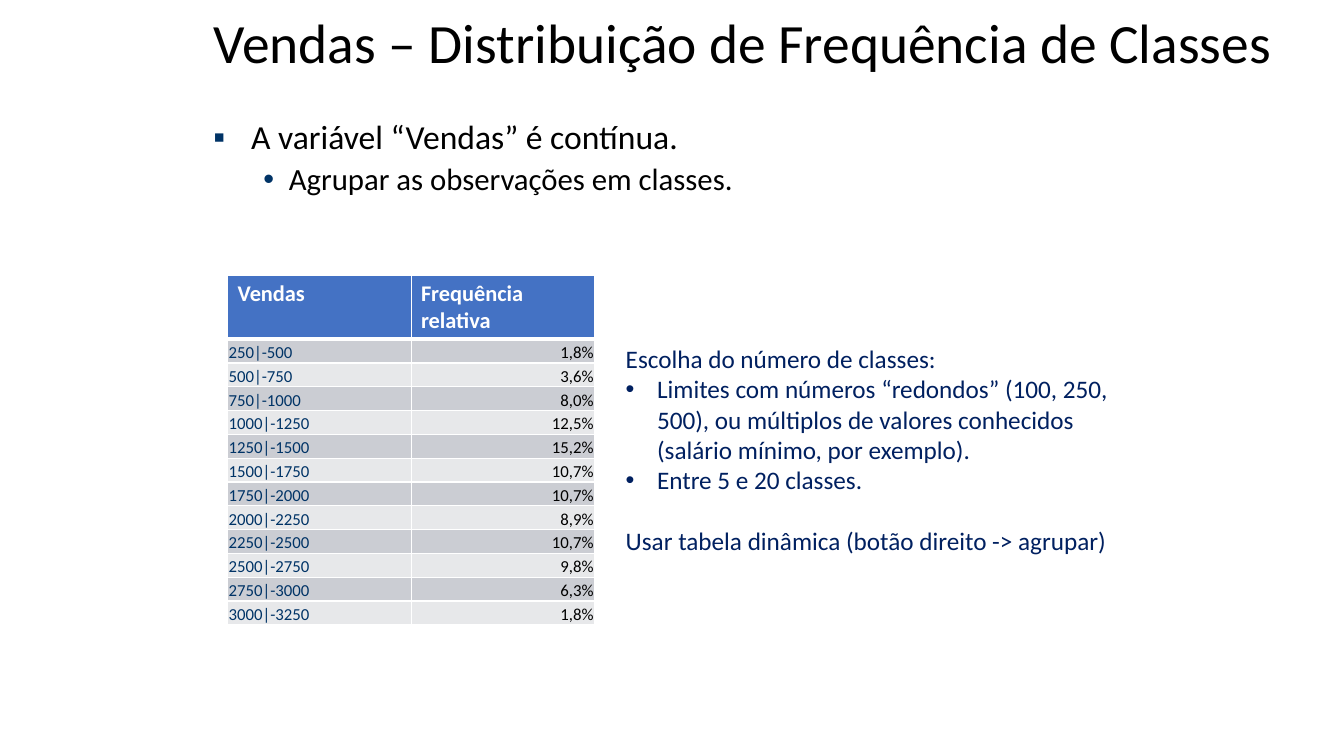
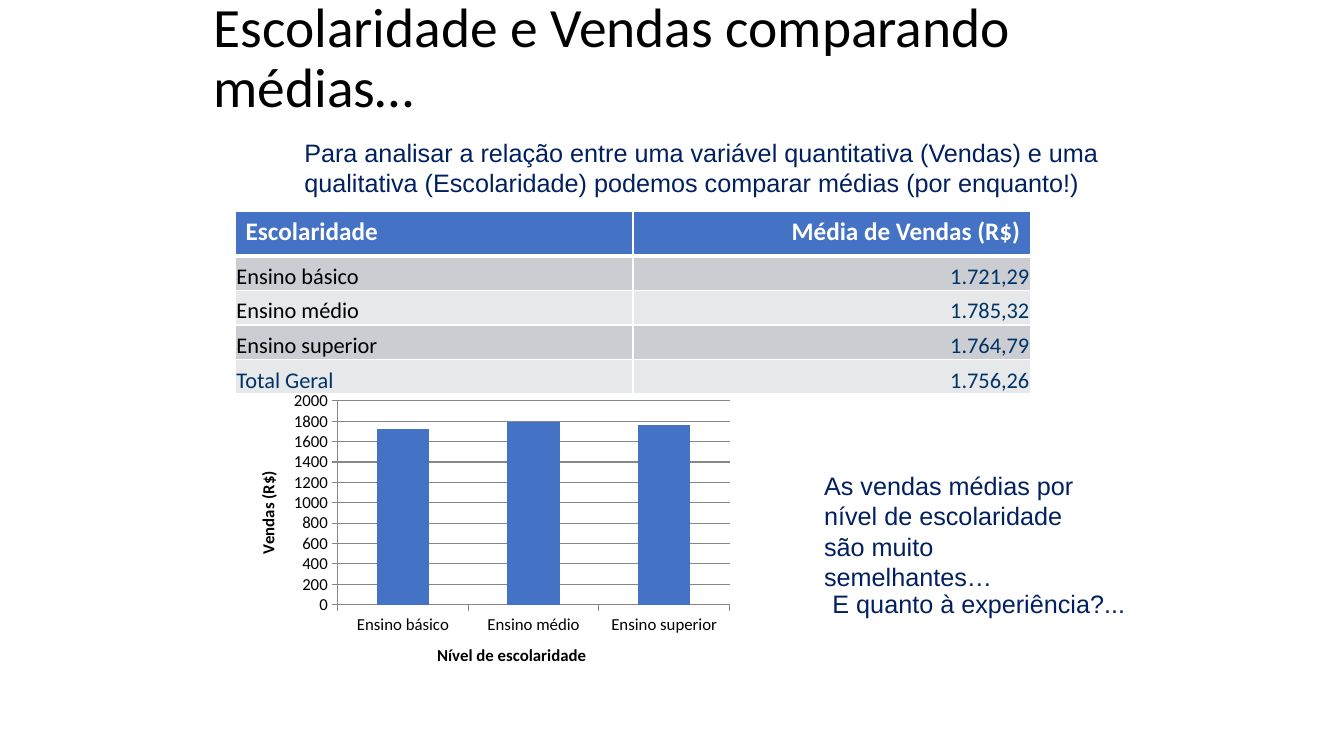
from lxml.etree import SubElement
from pptx import Presentation
from pptx.chart.data import CategoryChartData
from pptx.dml.color import RGBColor
from pptx.enum.chart import XL_CHART_TYPE, XL_TICK_MARK
from pptx.enum.text import MSO_ANCHOR, PP_ALIGN
from pptx.oxml.ns import qn
from pptx.util import Cm, Pt

BLACK = RGBColor(0x00, 0x00, 0x00)
WHITE = RGBColor(0xFF, 0xFF, 0xFF)
NAVY = RGBColor(0x00, 0x20, 0x60)
BLUE = RGBColor(0x00, 0x33, 0x66)
ACCENT = RGBColor(0x44, 0x72, 0xC4)
GRID = RGBColor(0x86, 0x86, 0x86)
BANDS = (RGBColor(0xCB, 0xCD, 0xD3), RGBColor(0xE7, 0xE8, 0xEA))
BODY_FONT, NOTE_FONT = "Calibri", "Arial"

CLASSES_TITLE = "Vendas – Distribuição de Frequência de Classes"
CLASSES_BODY = [
    dict(text="A variável “Vendas” é contínua.", size=24, bullet="▪", left=0.95, hanging=0.95),
    dict(text="Agrupar as observações em classes.", size=22, bullet="•", left=1.9, hanging=0.64, before=5),
]
CLASSES_NOTE = [
    dict(text="Escolha do número de classes:"),
    dict(text="Limites com números “redondos” (100, 250, 500), ou múltiplos de valores "
              "conhecidos (salário mínimo, por exemplo).", bullet="•", left=0.79, hanging=0.79),
    dict(text="Entre 5 e 20 classes.", bullet="•", left=0.79, hanging=0.79),
    dict(text="Usar tabela dinâmica (botão direito -> agrupar)", before=22),
]
CLASS_START, CLASS_WIDTH = 250, 250
FREQUENCIES = ["1,8%", "3,6%", "8,0%", "12,5%", "15,2%", "10,7%",
               "10,7%", "8,9%", "10,7%", "9,8%", "6,3%", "1,8%"]

MEANS_TITLE = "Escolaridade e Vendas comparando médias…"
MEANS_INTRO = ("Para analisar a relação entre uma variável quantitativa (Vendas) e uma "
               "qualitativa (Escolaridade) podemos comparar médias (por enquanto!)")
MEANS_FINDING = "As vendas médias por nível de escolaridade são muito semelhantes…"
MEANS_QUESTION = "E quanto à experiência?..."
LEVELS = ["Ensino básico", "Ensino médio", "Ensino superior"]
MEANS = ["1.721,29", "1.785,32", "1.764,79"]
TOTAL = ("Total Geral", "1.756,26")
CHART_VALUES = [1720, 1790, 1760]


def add_run(paragraph, text, size, color, font=BODY_FONT, bold=False):
    run = paragraph.add_run()
    run.text = text
    run.font.name = font
    run.font.size = Pt(size)
    run.font.bold = bold
    run.font.color.rgb = color


def add_bullet(paragraph, character, color, left, hanging):
    properties = paragraph._p.get_or_add_pPr()
    properties.set("marL", str(Cm(left)))
    properties.set("indent", str(-Cm(hanging)))
    bullet_color = SubElement(properties, qn("a:buClr"))
    SubElement(bullet_color, qn("a:srgbClr"), val=str(color))
    SubElement(properties, qn("a:buFont"), typeface=NOTE_FONT)
    SubElement(properties, qn("a:buChar"), char=character)


def add_text(slide, box, paragraphs, color=NAVY, font=BODY_FONT, bullet_color=NAVY,
             line_spacing=1.0, anchor=MSO_ANCHOR.TOP, wrap=True):
    frame = slide.shapes.add_textbox(*map(Cm, box)).text_frame
    frame.word_wrap = wrap
    frame.vertical_anchor = anchor
    for index, item in enumerate(paragraphs):
        paragraph = frame.paragraphs[0] if index == 0 else frame.add_paragraph()
        if "bullet" in item:
            add_bullet(paragraph, item["bullet"], bullet_color, item["left"], item["hanging"])
        paragraph.line_spacing = line_spacing
        paragraph.space_before = Pt(item.get("before", 0))
        add_run(paragraph, item["text"], item.get("size", 18), color, font)


def add_title(slide, text, width, height):
    add_text(slide, (5.13, 0.33, width, height), [dict(text=text, size=39.6)],
             color=BLACK, line_spacing=0.9, anchor=MSO_ANCHOR.MIDDLE)


def add_borders(cell, row):
    properties = cell._tc.get_or_add_tcPr()
    widths = {"lnL": 1, "lnR": 1, "lnT": 3 if row == 1 else 1, "lnB": 3 if row == 0 else 1}
    for tag, width in widths.items():
        line = SubElement(properties, qn(f"a:{tag}"), w=str(Pt(width)))
        fill = SubElement(line, qn("a:solidFill"))
        SubElement(fill, qn("a:srgbClr"), val=str(WHITE))


def add_table(slide, position, column_width, heights, header, rows, sizes, header_aligns):
    header_height, row_height = heights
    header_size, row_size = sizes
    total_height = header_height + row_height * len(rows)
    table = slide.shapes.add_table(len(rows) + 1, 2, *map(Cm, position),
                                   Cm(2 * column_width), Cm(total_height)).table
    table.first_row = table.horz_banding = False
    for column in table.columns:
        column.width = Cm(column_width)
    header_row = [(text, WHITE) for text in header]
    for row, content in enumerate([header_row] + rows):
        is_header = row == 0
        table.rows[row].height = Cm(header_height if is_header else row_height)
        aligns = header_aligns if is_header else (PP_ALIGN.LEFT, PP_ALIGN.RIGHT)
        for column, (text, color) in enumerate(content):
            cell = table.cell(row, column)
            add_borders(cell, row)
            cell.fill.solid()
            cell.fill.fore_color.rgb = ACCENT if is_header else BANDS[(row - 1) % 2]
            cell.margin_left = cell.margin_right = Cm(0.25 if is_header else 0.02)
            cell.margin_top = Cm(0.13 if is_header else 0.02)
            cell.margin_bottom = Cm(0.13 if is_header else 0)
            cell.vertical_anchor = MSO_ANCHOR.TOP if is_header else MSO_ANCHOR.BOTTOM
            paragraph = cell.text_frame.paragraphs[0]
            paragraph.alignment = aligns[column]
            add_run(paragraph, text, header_size if is_header else row_size, color, bold=is_header)


def style_axis(axis, title):
    add_run(axis.axis_title.text_frame.paragraphs[0], title, 12, BLACK, bold=True)
    axis.major_tick_mark = XL_TICK_MARK.OUTSIDE
    axis.minor_tick_mark = XL_TICK_MARK.NONE
    axis.format.line.color.rgb = GRID


def add_means_chart(slide, box):
    data = CategoryChartData()
    data.categories = LEVELS
    data.add_series("Vendas", CHART_VALUES)
    chart = slide.shapes.add_chart(XL_CHART_TYPE.COLUMN_CLUSTERED, *map(Cm, box), data).chart
    chart.has_title = chart.has_legend = False
    chart.font.name = BODY_FONT
    chart.font.size = Pt(12)
    chart.font.color.rgb = BLACK
    plot = chart.plots[0]
    plot.gap_width = 150
    plot.vary_by_categories = False
    fill = plot.series[0].format.fill
    fill.solid()
    fill.fore_color.rgb = ACCENT
    style_axis(chart.category_axis, "Nível de escolaridade")
    style_axis(chart.value_axis, "Vendas (R$)")
    chart.value_axis.minimum_scale = 0
    chart.value_axis.maximum_scale = 2000
    chart.value_axis.major_unit = 200
    chart.value_axis.major_gridlines.format.line.color.rgb = GRID


def build_classes_slide(slide):
    add_text(slide, (5.13, 2.92, 23.6, 14.6), CLASSES_BODY, color=BLACK,
             bullet_color=BLUE, line_spacing=0.9)
    add_title(slide, CLASSES_TITLE, 27.89, 1.63)
    add_text(slide, (15.52, 8.53, 12.8, 5.64), CLASSES_NOTE)
    rows = []
    for index, frequency in enumerate(FREQUENCIES):
        lower = CLASS_START + index * CLASS_WIDTH
        rows.append([(f"{lower}|-{lower + CLASS_WIDTH}", BLUE), (frequency, BLACK)])
    add_table(slide, (5.74, 6.93), 4.62, (1.6, 0.6), ("Vendas", "Frequência relativa"),
              rows, (16, 12), (PP_ALIGN.LEFT, PP_ALIGN.LEFT))


def build_means_slide(slide):
    add_title(slide, MEANS_TITLE, 25.73, 2.34)
    rows = [[(level, BLACK), (mean, BLUE)] for level, mean in zip(LEVELS, MEANS)]
    rows.append([(text, BLUE) for text in TOTAL])
    add_table(slide, (5.94, 5.33), 10.01, (1.12, 0.87), ("Escolaridade", "Média de Vendas (R$)"),
              rows, (18, 16), (PP_ALIGN.LEFT, PP_ALIGN.RIGHT))
    add_means_chart(slide, (5.94, 9.7, 12.7, 7.62))
    add_text(slide, (20.52, 11.73, 7.32, 3.33), [dict(text=MEANS_FINDING)], font=NOTE_FONT)
    add_text(slide, (20.73, 14.71, 7.95, 1.02), [dict(text=MEANS_QUESTION)],
             font=NOTE_FONT, wrap=False)
    add_text(slide, (7.42, 3.33, 21.51, 1.8), [dict(text=MEANS_INTRO)], font=NOTE_FONT)


def main():
    presentation = Presentation()
    presentation.slide_width = Cm(33.87)
    presentation.slide_height = Cm(19.05)
    for build in (build_classes_slide, build_means_slide):
        build(presentation.slides.add_slide(presentation.slide_layouts[6]))
    presentation.save("out.pptx")


if __name__ == "__main__":
    main()
